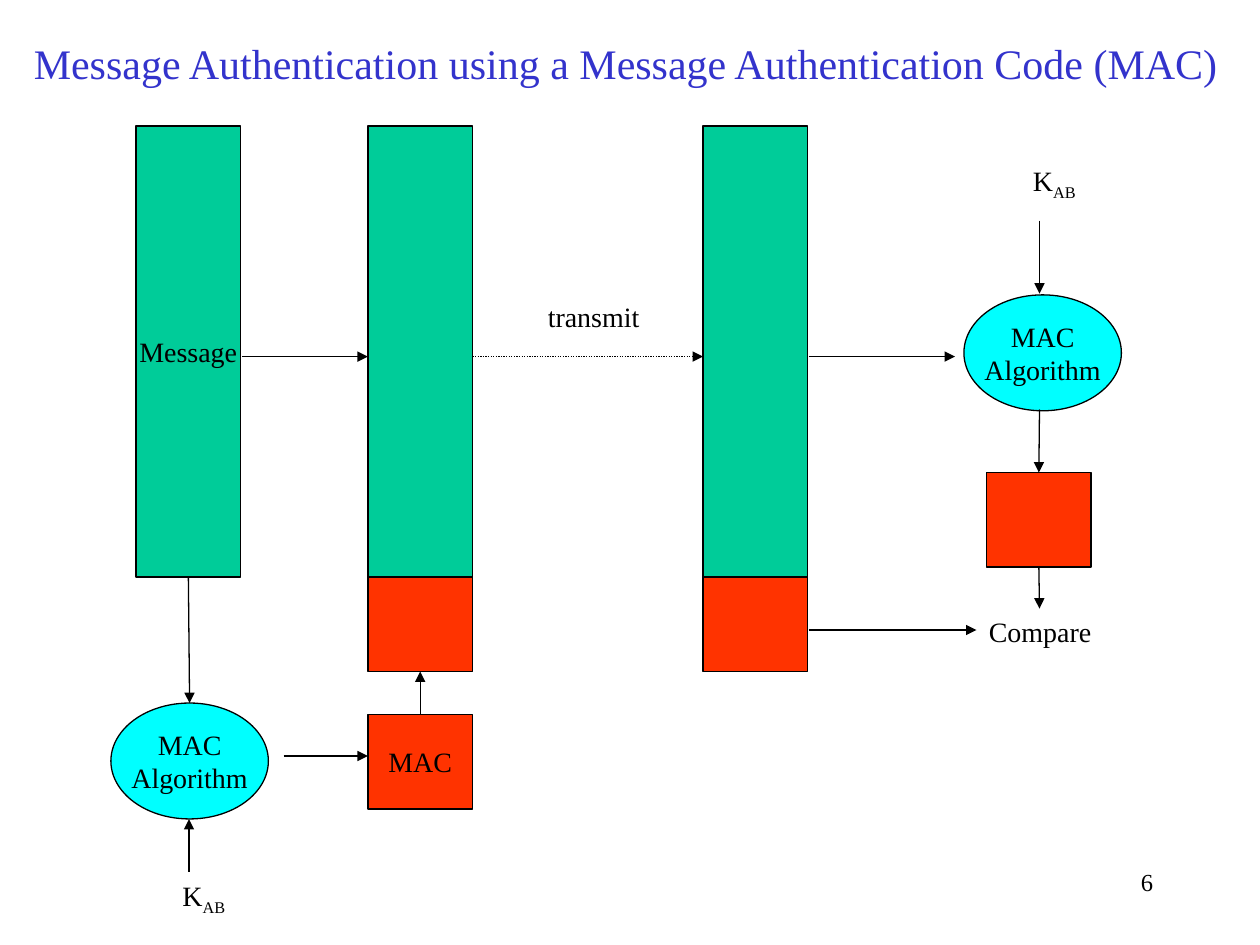
from dataclasses import dataclass
from typing import Optional

from lxml import etree
from pptx import Presentation
from pptx import util as u
from pptx.dml.color import RGBColor
from pptx.enum import dml, shapes, text
from pptx.oxml import ns

BLACK = RGBColor(0x00, 0x00, 0x00)
GREEN = RGBColor(0x00, 0xCC, 0x99)
RED = RGBColor(0xFF, 0x33, 0x00)
CYAN = RGBColor(0x00, 0xFF, 0xFF)
BLUE = RGBColor(0x33, 0x33, 0xCC)

FONT = "Times New Roman"
RECTANGLE = shapes.MSO_SHAPE.RECTANGLE
ELLIPSE = shapes.MSO_SHAPE.OVAL
TOP, BOTTOM = 0, 2

SENT_X, COMBINED_X, RECEIVED_X, CHECK_X = 1.08, 2.92, 5.58, 7.83
BLOCK_WIDTH, MESSAGE_HEIGHT, MAC_HEIGHT = 0.83, 3.58, 0.75
MESSAGE_Y = 1
MAC_Y = MESSAGE_Y + MESSAGE_HEIGHT
FLOW_Y = 2.83
CHECK_AXIS = 8.25


@dataclass(frozen=True)
class Block:
    name: str
    left: float
    top: float
    width: float
    height: float
    fill: RGBColor
    label: str = ""
    preset: shapes.MSO_SHAPE = RECTANGLE


@dataclass(frozen=True)
class Arrow:
    start: tuple[float, float]
    end: tuple[float, float]
    dotted: bool = False
    source: Optional[tuple[str, int]] = None
    target: Optional[tuple[str, int]] = None


@dataclass(frozen=True)
class Label:
    words: str
    left: float
    top: float
    width: float
    height: float
    subscript: str = ""
    size: int = 16
    color: RGBColor = BLACK
    align: text.PP_ALIGN = text.PP_ALIGN.LEFT
    wrap: bool = False


def message(name: str, left: float, label: str = "") -> Block:
    return Block(name, left, MESSAGE_Y, BLOCK_WIDTH, MESSAGE_HEIGHT, GREEN, label)


def mac(name: str, left: float, top: float, label: str = "") -> Block:
    return Block(name, left, top, BLOCK_WIDTH, MAC_HEIGHT, RED, label)


def algorithm(name: str, left: float, top: float) -> Block:
    return Block(name, left, top, 1.25, 0.92, CYAN, "MAC\nAlgorithm", ELLIPSE)


def key(left: float, top: float) -> Label:
    return Label("K", left, top, 0.54, 0.41, subscript="AB")


BLOCKS = [
    message("message", SENT_X, "Message"),
    message("combined message", COMBINED_X),
    message("received message", RECEIVED_X),
    mac("combined MAC", COMBINED_X, MAC_Y),
    mac("received MAC", RECEIVED_X, MAC_Y),
    mac("computed MAC", COMBINED_X, 5.67, "MAC"),
    mac("check MAC", CHECK_X, 3.75),
    algorithm("sender algorithm", 0.88, 5.58),
    algorithm("receiver algorithm", 7.65, 2.34),
]

ARROWS = [
    Arrow((1.5, 4.58), (1.5, 5.58),
          source=("message", BOTTOM), target=("sender algorithm", TOP)),
    Arrow((1.5, 6.92), (1.5, 6.5)),
    Arrow((2.25, 6), (COMBINED_X, 6)),
    Arrow((3.33, 5.67), (3.33, 5.33),
          source=("computed MAC", TOP), target=("combined MAC", BOTTOM)),
    Arrow((1.92, FLOW_Y), (COMBINED_X, FLOW_Y)),
    Arrow((3.75, FLOW_Y), (RECEIVED_X, FLOW_Y), dotted=True),
    Arrow((6.42, FLOW_Y), (7.58, FLOW_Y)),
    Arrow((6.42, 5), (7.75, 5)),
    Arrow((CHECK_AXIS, 1.75), (CHECK_AXIS, 2.33)),
    Arrow((CHECK_AXIS, 3.25), (CHECK_AXIS, 3.75), target=("check MAC", TOP)),
    Arrow((CHECK_AXIS, 4.5), (CHECK_AXIS, 4.83), source=("check MAC", BOTTOM)),
]

LABELS = [
    Label("Message Authentication using a Message Authentication Code (MAC)",
          0.17, 0.25, 9.63, 0.5, size=24, color=BLUE),
    Label("transmit", 4.25, 2.33, 1, 0.37, wrap=True),
    Label("Compare", 7.75, 4.83, 1.01, 0.37),
    key(1.35, 6.92),
    key(8.1, 1.25),
    Label("6", 7.17, 6.83, 2.08, 0.5, size=14, align=text.PP_ALIGN.RIGHT, wrap=True),
]


def style_paragraph(paragraph, size: int, color: RGBColor, align: text.PP_ALIGN) -> None:
    paragraph.alignment = align
    paragraph.font.name = FONT
    paragraph.font.size = u.Pt(size)
    paragraph.font.color.rgb = color


def draw_block(slide, block: Block):
    shape = slide.shapes.add_shape(
        block.preset, u.Inches(block.left), u.Inches(block.top),
        u.Inches(block.width), u.Inches(block.height))
    shape.shadow.inherit = False
    shape.fill.solid()
    shape.fill.fore_color.rgb = block.fill
    shape.line.color.rgb = BLACK
    shape.line.width = u.Pt(0.75)
    if block.label:
        frame = shape.text_frame
        frame.word_wrap = False
        frame.vertical_anchor = text.MSO_ANCHOR.MIDDLE
        frame.text = block.label
        for paragraph in frame.paragraphs:
            style_paragraph(paragraph, 16, BLACK, text.PP_ALIGN.CENTER)
    return shape


def draw_arrow(slide, arrow: Arrow, drawn_blocks: dict) -> None:
    connector = slide.shapes.add_connector(
        shapes.MSO_CONNECTOR.STRAIGHT,
        *(u.Inches(length) for length in arrow.start + arrow.end))
    if arrow.source:
        name, site = arrow.source
        connector.begin_connect(drawn_blocks[name], site)
    if arrow.target:
        name, site = arrow.target
        connector.end_connect(drawn_blocks[name], site)
    connector.line.color.rgb = BLACK
    connector.line.width = u.Pt(0.75)
    if arrow.dotted:
        connector.line.dash_style = dml.MSO_LINE.ROUND_DOT
    line = connector.line._get_or_add_ln()
    etree.SubElement(line, ns.qn("a:tailEnd"), type="triangle")
    etree.SubElement(connector._element.spPr, ns.qn("a:effectLst"))


def draw_label(slide, label: Label) -> None:
    box = slide.shapes.add_textbox(
        u.Inches(label.left), u.Inches(label.top),
        u.Inches(label.width), u.Inches(label.height))
    frame = box.text_frame
    frame.word_wrap = label.wrap
    paragraph = frame.paragraphs[0]
    style_paragraph(paragraph, label.size, label.color, label.align)
    paragraph.add_run().text = label.words
    if label.subscript:
        run = paragraph.add_run()
        run.text = label.subscript
        run._r.get_or_add_rPr().set("baseline", "-25000")


def main() -> None:
    presentation = Presentation()
    presentation.slide_width = u.Inches(10)
    presentation.slide_height = u.Inches(7.5)
    slide = presentation.slides.add_slide(presentation.slide_layouts[6])
    drawn_blocks = {block.name: draw_block(slide, block) for block in BLOCKS}
    for arrow in ARROWS:
        draw_arrow(slide, arrow, drawn_blocks)
    for label in LABELS:
        draw_label(slide, label)
    presentation.save("out.pptx")


if __name__ == "__main__":
    main()
